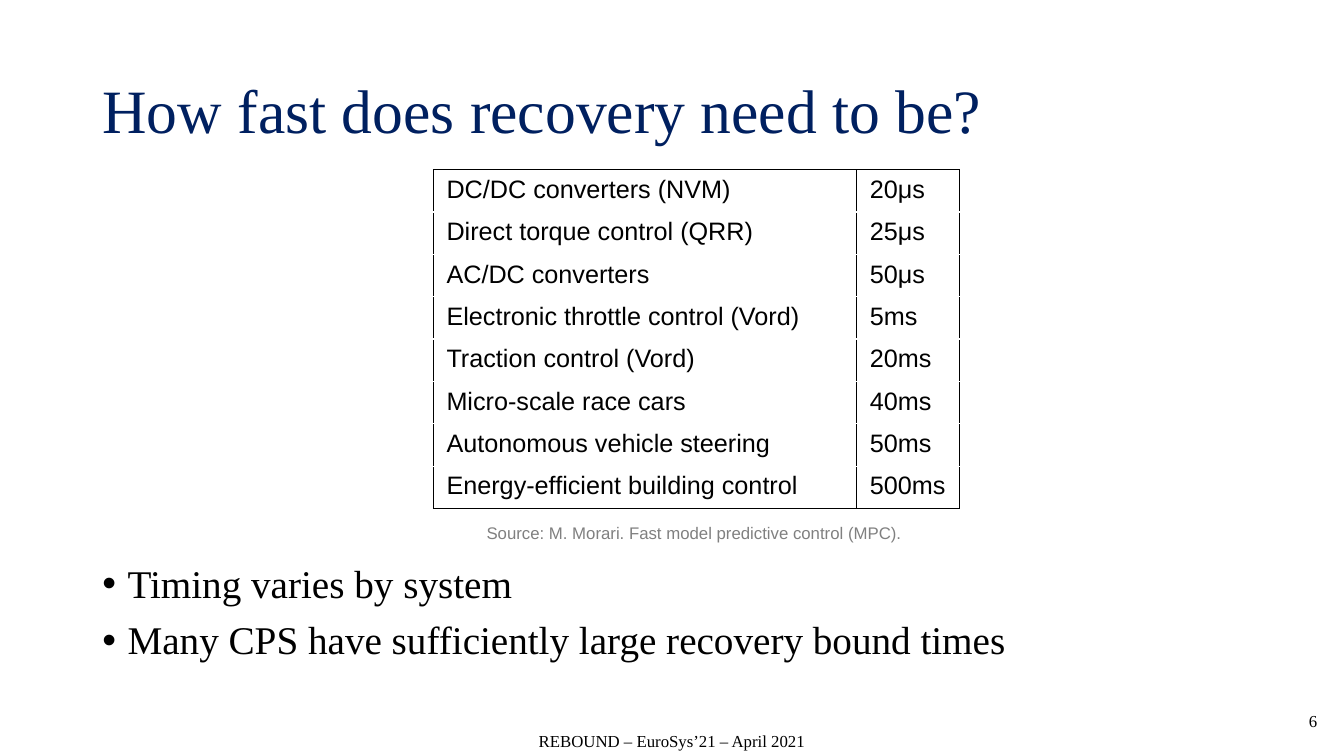
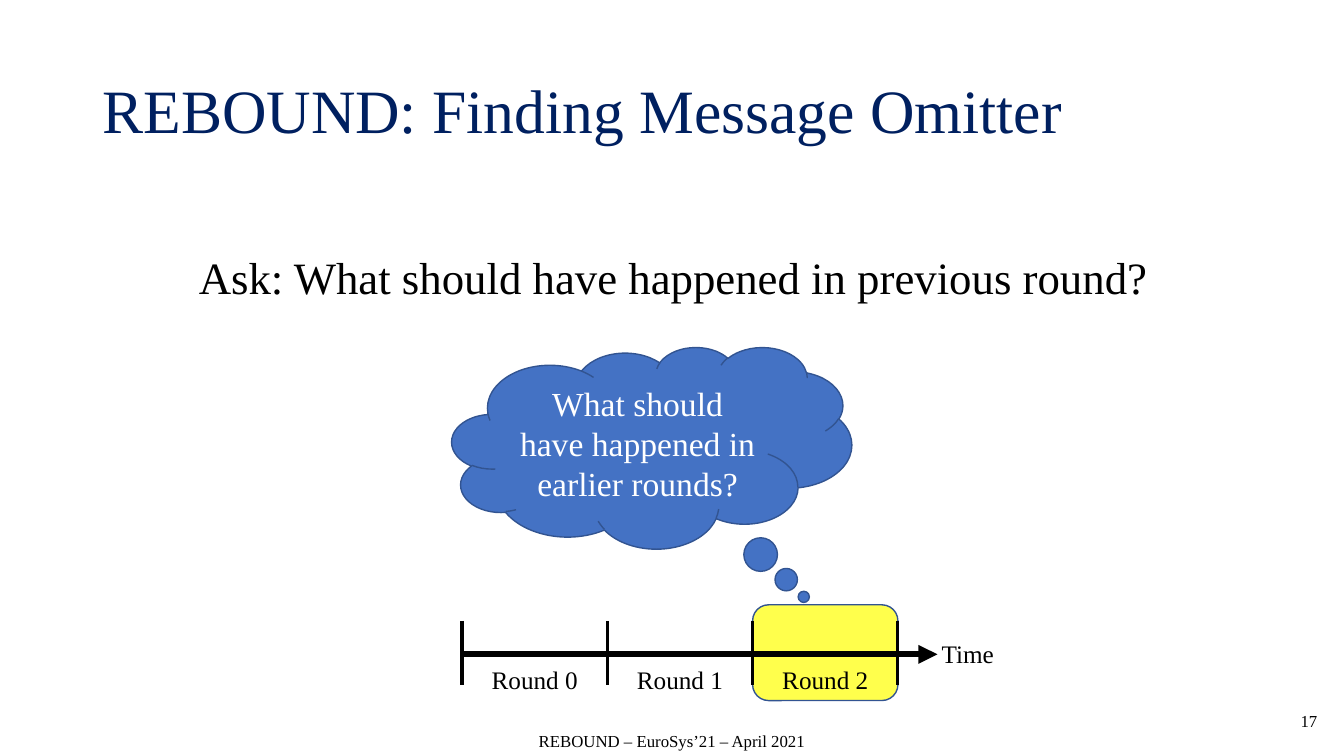
from lxml import etree
from pptx import Presentation, util as u
from pptx.dml.color import RGBColor
from pptx.enum import shapes, text
from pptx.oxml import ns

SLIDE_W, SLIDE_H = u.Inches(13.333), u.Inches(7.5)
COLS, ROWS = 160, 90
SERIF, SANS = "Times New Roman", "Arial"
COLORS = {
    "title": "002060",
    "text": "000000",
    "source": "808080",
    "paper": "FFFFFF",
    "cloud": "4472C4",
    "outline": "325491",
    "highlight": "FFFF00",
}
LEFT, CENTER, RIGHT = text.PP_ALIGN.LEFT, text.PP_ALIGN.CENTER, text.PP_ALIGN.RIGHT
TOP, MIDDLE = text.MSO_ANCHOR.TOP, text.MSO_ANCHOR.MIDDLE


def x(cols):
    return round(SLIDE_W * cols / COLS)


def y(rows):
    return round(SLIDE_H * rows / ROWS)


def box(left, top, width, height):
    return x(left), y(top), x(width), y(height)


def rgb(name):
    return RGBColor.from_string(COLORS[name])


def sub(parent, tag, **attrs):
    return etree.SubElement(parent, ns.qn(tag), attrs)


def write(tf, lines, size, color="text", font=SERIF, align=LEFT, anchor=TOP,
          spacing=None, before=None):
    tf.word_wrap = True
    tf.vertical_anchor = anchor
    for i, line in enumerate(lines):
        p = tf.paragraphs[0] if i == 0 else tf.add_paragraph()
        p.text = line
        p.alignment = align
        p.line_spacing = spacing
        p.space_before = before
        p.font.size = u.Pt(size)
        p.font.name = font
        p.font.color.rgb = rgb(color)


def add_text(parent, area, lines, size, **style):
    tf = parent.add_textbox(*box(*area)).text_frame
    write(tf, lines, size, **style)
    return tf


def add_bullets(tf):
    for p in tf.paragraphs:
        props = p._p.get_or_add_pPr()
        props.set("marL", str(u.Inches(0.25)))
        props.set("indent", str(-u.Inches(0.25)))
        sub(props, "a:buFont", typeface=SANS)
        sub(props, "a:buChar", char="•")


def add_shape(s, kind, area, fill):
    sp = s.shapes.add_shape(kind, *box(*area))
    sp.shadow.inherit = False
    sp.fill.solid()
    sp.fill.fore_color.rgb = rgb(fill)
    sp.line.color.rgb = rgb("outline")
    sp.line.width = u.Pt(1)
    return sp


def add_line(parent, x1, y1, x2, y2, width, arrow=False):
    line = parent.add_connector(shapes.MSO_CONNECTOR.STRAIGHT, x(x1), y(y1), x(x2), y(y2))
    line.line.color.rgb = rgb("text")
    line.line.width = u.Pt(width)
    if arrow:
        sub(line.line._get_or_add_ln(), "a:tailEnd", type="triangle")
    sub(line._element.spPr, "a:effectLst")


def set_borders(cell, sides):
    props = cell._tc.get_or_add_tcPr()
    for i, side in enumerate(sides):
        ln = etree.Element(ns.qn(f"a:ln{side}"), w=str(u.Pt(1)))
        sub(sub(ln, "a:solidFill"), "a:srgbClr", val=COLORS["text"])
        props.insert(i, ln)


def add_table(s, left, top, widths, row_height, rows):
    area = box(left, top, sum(widths), row_height * len(rows))
    table = s.shapes.add_table(len(rows), len(widths), *area).table
    table.first_row = table.horz_banding = False
    for column, width in zip(table.columns, widths):
        column.width = x(width)
    for r, values in enumerate(rows):
        table.rows[r].height = y(row_height)
        sides = ["L", "R"] + ["T"] * (r == 0) + ["B"] * (r == len(rows) - 1)
        for c, value in enumerate(values):
            cell = table.cell(r, c)
            cell.margin_left = cell.margin_right = u.Inches(0.13)
            cell.margin_top = cell.margin_bottom = u.Inches(0.06)
            cell.fill.solid()
            cell.fill.fore_color.rgb = rgb("paper")
            set_borders(cell, sides)
            write(cell.text_frame, [value], 18, font=SANS)


def add_slide(prs, title, number):
    s = prs.slides.add_slide(prs.slide_layouts[5])
    sp = s.shapes.title
    sp.left, sp.top, sp.width, sp.height = box(11, 4.8, 138, 17.4)
    write(sp.text_frame, [title], 44, color="title", anchor=MIDDLE, spacing=0.9)
    sp.text_frame.auto_size = text.MSO_AUTO_SIZE.NONE
    add_text(s.shapes, (62.6, 85.8, 34.8, 4.8), ["REBOUND – EuroSys’21 – April 2021"], 12,
             align=CENTER, anchor=MIDDLE)
    add_text(s.shapes, (122, 83.4, 36, 4.8), [str(number)], 12, align=RIGHT, anchor=MIDDLE)
    return s


def add_timeline(s, start, top, pitch, rounds):
    axis, tick = top + 4, 7.6
    end = start + pitch * rounds
    label_w, label_h = 13.3, 4.1
    parent = s.shapes.add_group_shape().shapes
    add_line(parent, start, axis, end + 4.7, axis, 4.5, arrow=True)
    add_text(parent, (end - 0.7, axis - 2.5, label_w, label_h), ["Time"], 18, align=RIGHT)
    for i in range(rounds + 1):
        at = start + pitch * i
        add_line(parent, at, top, at, top + tick, 2.25)
        if i < rounds:
            add_text(parent, (at + (pitch - label_w) / 2, axis + 0.6, label_w, label_h),
                     [f"Round {i}"], 18, align=CENTER)


def recovery_slide(prs):
    s = add_slide(prs, "How fast does recovery need to be?", 6)
    add_table(s, 51.6, 20.2, (50.4, 12.25), 5, [
        ("DC/DC converters (NVM)", "20μs"),
        ("Direct torque control (QRR)", "25μs"),
        ("AC/DC converters", "50μs"),
        ("Electronic throttle control (Vord)", "5ms"),
        ("Traction control (Vord)", "20ms"),
        ("Micro-scale race cars", "40ms"),
        ("Autonomous vehicle steering", "50ms"),
        ("Energy-efficient building control", "500ms"),
    ])
    add_text(s.shapes, (56.2, 61.6, 52.9, 3.6),
             ["Source: M. Morari. Fast model predictive control (MPC)."], 12,
             color="source", font=SANS, align=CENTER)
    add_bullets(add_text(s.shapes, (11, 66.6, 138, 14.3), [
        "Timing varies by system",
        "Many CPS have sufficiently large recovery bound times",
    ], 28, spacing=0.9, before=u.Pt(10)))


def omitter_slide(prs):
    s = add_slide(prs, "REBOUND: Finding Message Omitter", 17)
    start, pitch, rounds = 55, 17.3, 3
    current = add_shape(s, shapes.MSO_SHAPE.ROUNDED_RECTANGLE,
                        (start + pitch * (rounds - 1), 72, pitch, 11.4), "highlight")
    color = current._element.spPr.find(ns.qn("a:solidFill"))[0]
    sub(color, "a:alpha", val="70000")
    add_text(s.shapes, (11, 29.9, 138.4, 18),
             ["Ask: What should have happened in previous round?"], 32,
             align=CENTER, spacing=0.9, before=u.Pt(10))
    add_timeline(s, start, 73.9, pitch, rounds)
    cloud = add_shape(s, shapes.MSO_SHAPE.CLOUD_CALLOUT, (53.8, 41.3, 47.6, 24), "cloud")
    cloud.adjustments[0], cloud.adjustments[1] = 0.38, 0.74
    write(cloud.text_frame, ["What should have happened in earlier rounds?"], 24,
          color="paper", align=CENTER, anchor=MIDDLE)


def main():
    prs = Presentation()
    prs.slide_width, prs.slide_height = SLIDE_W, SLIDE_H
    recovery_slide(prs)
    omitter_slide(prs)
    prs.save("out.pptx")


if __name__ == "__main__":
    main()
